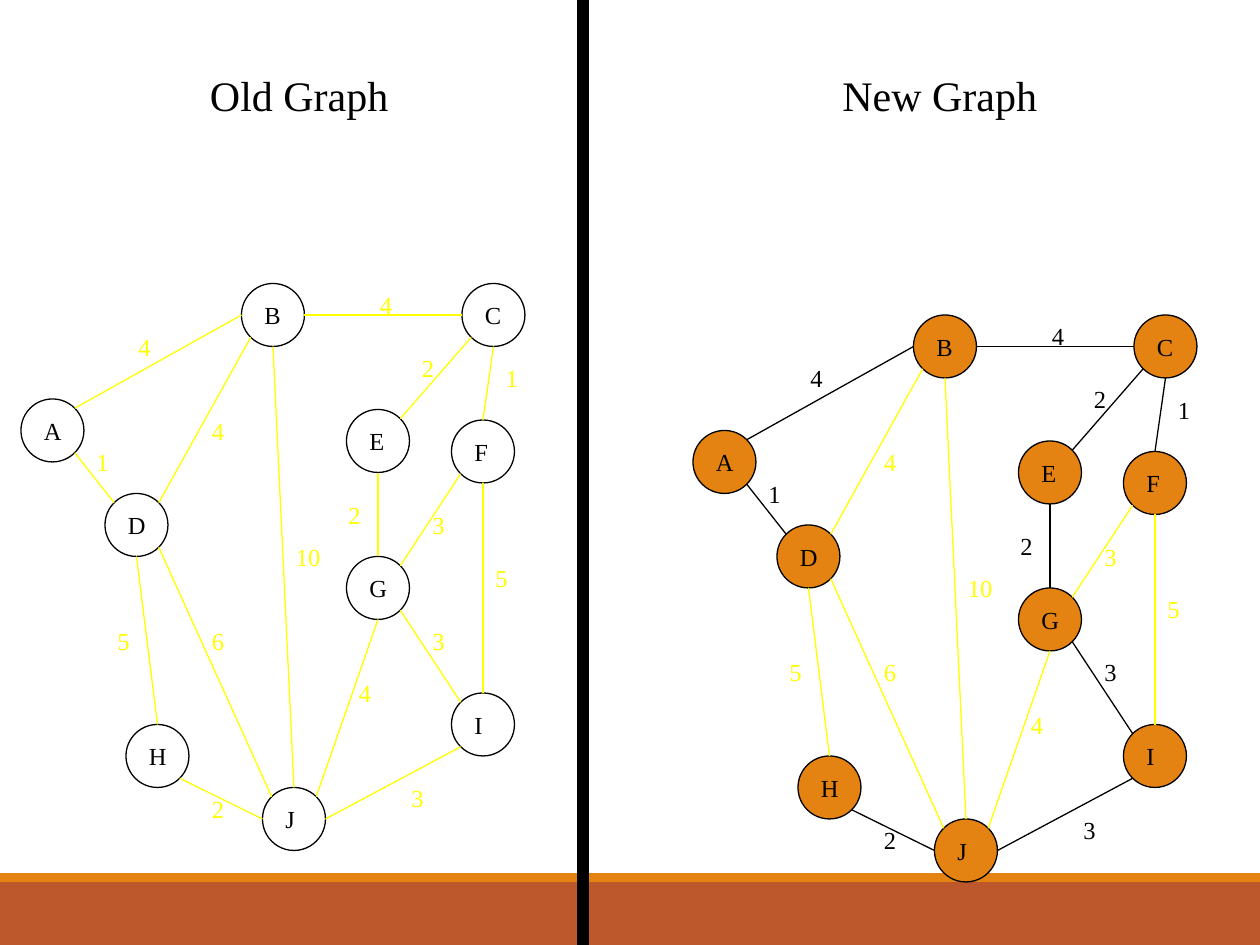
"""Draw a weighted graph beside its minimum spanning tree."""
from dataclasses import dataclass

from lxml.etree import SubElement
from pptx import Presentation
from pptx.dml.color import RGBColor
from pptx.enum.shapes import MSO_CONNECTOR, MSO_SHAPE
from pptx.enum.text import MSO_AUTO_SIZE, PP_ALIGN
from pptx.oxml.ns import qn
from pptx.util import Cm, Pt

COLORS = {"ink": "000000", "pale": "FFFF00", "amber": "E48312", "rust": "BD582C"}
FONT = "Times New Roman"
UNIT = 2.54 / 12
SIZE = 6
DIAG = 0.5 ** 0.5
SIDES = {
    "N": (0, -1), "S": (0, 1), "W": (-1, 0), "E": (1, 0),
    "NW": (-DIAG, -DIAG), "NE": (DIAG, -DIAG),
    "SW": (-DIAG, DIAG), "SE": (DIAG, DIAG),
}


@dataclass
class Node:
    x: int
    y: int
    width: float


@dataclass
class Edge:
    start: str
    out: str
    end: str
    into: str
    weight: str
    x: int
    y: int
    kept: bool = False


@dataclass
class Graph:
    title: str
    left: int
    dx: int
    dy: int
    fill: str | None
    kept: str


NODES = {
    "A": Node(2, 38, 0.86), "B": Node(23, 27, 0.84), "C": Node(44, 27, 0.84),
    "D": Node(10, 47, 0.86), "E": Node(33, 39, 0.81), "F": Node(43, 40, 0.79),
    "G": Node(33, 53, 0.86), "H": Node(12, 69, 0.86), "I": Node(43, 66, 0.69),
    "J": Node(25, 75, 0.71),
}
EDGES = [
    Edge("B", "E", "C", "W", "4", 35, 27, True),
    Edge("B", "SW", "D", "NE", "4", 19, 39),
    Edge("D", "SE", "J", "NW", "6", 19, 59),
    Edge("J", "NE", "G", "S", "4", 33, 64),
    Edge("F", "SW", "G", "NE", "3", 40, 48),
    Edge("E", "S", "G", "N", "2", 32, 47, True),
    Edge("B", "S", "J", "N", "10", 27, 51),
    Edge("C", "SW", "E", "NE", "2", 39, 33, True),
    Edge("C", "S", "F", "N", "1", 47, 34, True),
    Edge("J", "E", "I", "SW", "3", 38, 74, True),
    Edge("J", "W", "H", "SE", "2", 19, 75, True),
    Edge("D", "NW", "A", "SE", "1", 8, 42, True),
    Edge("I", "NW", "G", "SE", "3", 40, 59, True),
    Edge("F", "S", "I", "N", "5", 46, 53),
    Edge("A", "NE", "B", "W", "4", 12, 31, True),
    Edge("D", "S", "H", "N", "5", 10, 59),
]
GRAPHS = [
    Graph("Old Graph", 11, 0, 0, None, "pale"),
    Graph("New Graph", 72, 64, 3, "amber", "ink"),
]


def grid(count: float) -> Cm:
    """Turn grid steps into a length."""
    return Cm(count * UNIT)


def tint(name: str) -> RGBColor:
    """Look up a colour."""
    return RGBColor.from_string(COLORS[name])


def add_form(slide, kind, box: tuple, fill: str | None, line: str | None) -> None:
    """Add a filled or hollow shape."""
    form = slide.shapes.add_shape(kind, *box)
    form.shadow.inherit = False
    if fill:
        form.fill.solid()
        form.fill.fore_color.rgb = tint(fill)
    else:
        form.fill.background()
    if line:
        form.line.color.rgb = tint(line)
        form.line.width = Pt(0.75)
    else:
        form.line.fill.background()


def add_text(slide, text: str, box: tuple, size: int, color: str, wrap: bool = False) -> None:
    """Add one line of text, centred when it wraps."""
    frame = slide.shapes.add_textbox(*box).text_frame
    frame.word_wrap = wrap
    frame.auto_size = MSO_AUTO_SIZE.SHAPE_TO_FIT_TEXT
    para = frame.paragraphs[0]
    if wrap:
        para.alignment = PP_ALIGN.CENTER
    run = para.add_run()
    run.text = text
    run.font.name = FONT
    run.font.size = Pt(size)
    run.font.color.rgb = tint(color)


def find_end(name: str, side: str, graph: Graph) -> tuple:
    """Find a point on the rim of a node."""
    node, (right, down) = NODES[name], SIDES[side]
    half = SIZE / 2
    return (grid(node.x + graph.dx + half * (1 + right)),
            grid(node.y + graph.dy + half * (1 + down)))


def add_edge(slide, edge: Edge, graph: Graph) -> None:
    """Add the line and weight of an edge."""
    color = graph.kept if edge.kept else "pale"
    line = slide.shapes.add_connector(
        MSO_CONNECTOR.STRAIGHT,
        *find_end(edge.start, edge.out, graph), *find_end(edge.end, edge.into, graph))
    line.line.color.rgb = tint(color)
    line.line.width = Pt(0.75)
    SubElement(line._element.spPr, qn("a:effectLst"))
    width = Cm(0.51 + 0.25 * len(edge.weight))
    box = grid(edge.x + graph.dx), grid(edge.y + graph.dy), width, Cm(0.84)
    add_text(slide, edge.weight, box, 14, color)


def add_node(slide, name: str, graph: Graph) -> None:
    """Add a node and its letter."""
    node = NODES[name]
    x, y = node.x + graph.dx, node.y + graph.dy
    box = grid(x), grid(y), grid(SIZE), grid(SIZE)
    add_form(slide, MSO_SHAPE.OVAL, box, graph.fill, "ink")
    add_text(slide, name, (grid(x + 1), grid(y + 1), Cm(node.width), Cm(0.84)), 14, "ink")


def main() -> None:
    """Build and save the slide."""
    deck = Presentation()
    deck.slide_width, deck.slide_height = Cm(25.4), Cm(19.05)
    slide = deck.slides.add_slide(deck.slide_layouts[6])
    rect = MSO_SHAPE.RECTANGLE
    add_form(slide, rect, (0, Cm(17.78), Cm(25.4), Cm(1.27)), "rust", None)
    add_form(slide, rect, (0, Cm(17.6), Cm(25.4), Cm(0.18)), "amber", None)
    add_form(slide, rect, (grid(55), 0, grid(1), Cm(19.05)), "ink", "ink")
    for graph in GRAPHS:
        box = grid(graph.left), grid(6), grid(35), grid(6)
        add_text(slide, graph.title, box, 24, "ink", True)
        for name in NODES:
            add_node(slide, name, graph)
        for edge in EDGES:
            add_edge(slide, edge, graph)
    deck.save("out.pptx")


if __name__ == "__main__":
    main()
